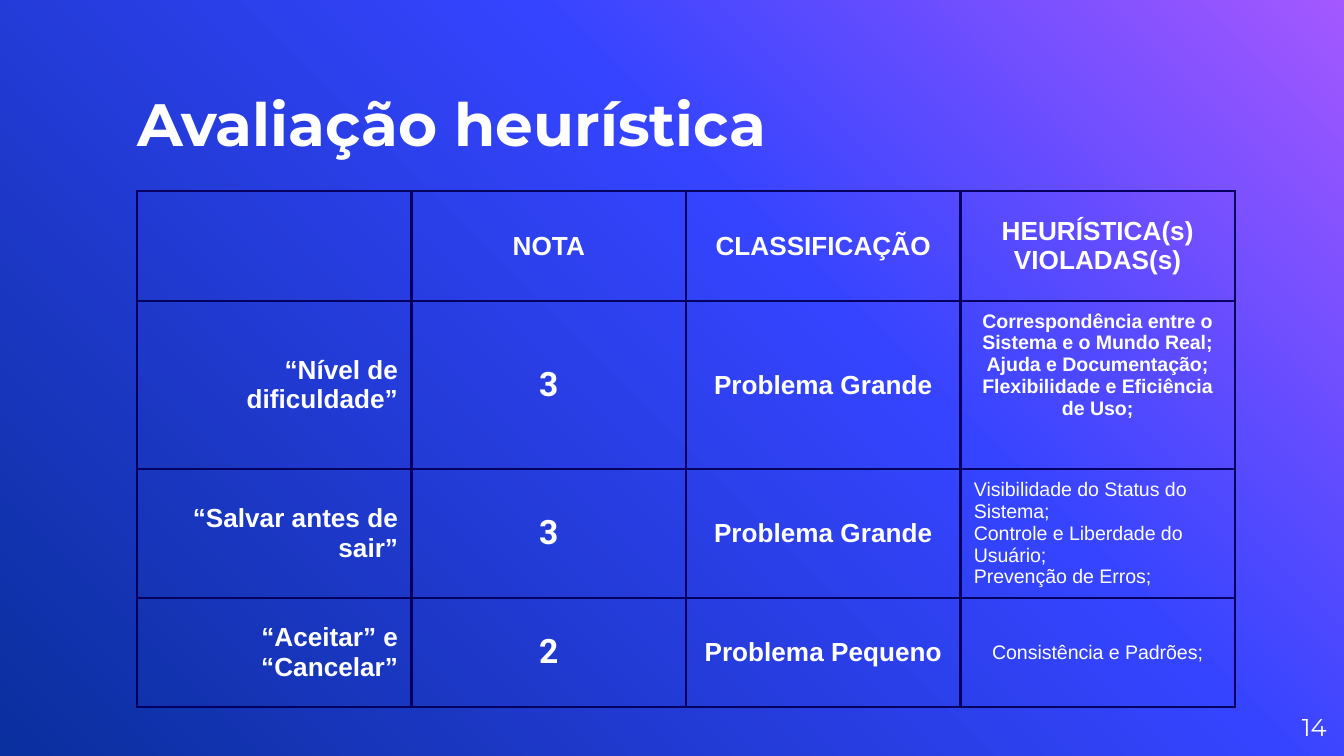
from lxml import etree
from pptx import Presentation
from pptx.dml.color import RGBColor
from pptx.enum.text import MSO_ANCHOR, PP_ALIGN
from pptx.oxml.ns import qn
from pptx.util import Inches, Pt

LEFT, CENTER, RIGHT = PP_ALIGN.LEFT, PP_ALIGN.CENTER, PP_ALIGN.RIGHT
TOP, MIDDLE, BOTTOM = MSO_ANCHOR.TOP, MSO_ANCHOR.MIDDLE, MSO_ANCHOR.BOTTOM

WHITE, NAVY = "FFFFFF", "050060"
GRADIENT = [(0, "A458FF"), (39, "3544FF"), (100, "0A2F9E")]
ROW_HEIGHTS = [0.82, 1.25, 0.96, 0.81]

HEADERS = ["", "NOTA", "CLASSIFICAÇÃO", "HEURÍSTICA(s) VIOLADAS(s)"]
# Problem, score, classification, heuristics, and (bold, alignment, anchor) of the heuristics
PROBLEMS = [
    ("“Nível de dificuldade”", "3", "Problema Grande",
     "Correspondência entre o Sistema e o Mundo Real;\nAjuda e Documentação;\n"
     "Flexibilidade e Eficiência de Uso;", (True, CENTER, TOP)),
    ("“Salvar antes de sair”", "3", "Problema Grande",
     "Visibilidade do Status do Sistema;\nControle e Liberdade do Usuário;\n"
     "Prevenção de Erros;", (False, LEFT, MIDDLE)),
    ("“Aceitar” e “Cancelar”", "2", "Problema Pequeno",
     "Consistência e Padrões;", (False, CENTER, MIDDLE)),
]


def rgb(value):
    return RGBColor.from_string(value)


def write(tf, text, size, font="Arial", bold=False, align=LEFT):
    tf.text = text
    for p in tf.paragraphs:
        p.alignment = align
        for r in p.runs:
            r.font.size = Pt(size)
            r.font.name = font
            r.font.bold = bold
            r.font.color.rgb = rgb(WHITE)


def frame(tf, anchor):
    tf.word_wrap = True
    tf.vertical_anchor = anchor
    tf.margin_left = tf.margin_right = tf.margin_top = tf.margin_bottom = 0


def add_background(slide):
    fill = slide.background.fill
    fill.gradient()
    fill.gradient_angle = 225
    stops = next(slide.element.iter(qn("a:gsLst")))
    for stop in list(stops):
        stops.remove(stop)
    for position, color in GRADIENT:
        stop = etree.SubElement(stops, qn("a:gs"), pos=str(position * 1000))
        etree.SubElement(stop, qn("a:srgbClr"), val=color)


def add_title(slide, box, text):
    title = slide.shapes.title
    title.left, title.top, title.width, title.height = map(Inches, box)
    frame(title.text_frame, BOTTOM)
    write(title.text_frame, text, 32, "Montserrat", True)


def add_borders(cell):
    tc_pr = cell._tc.get_or_add_tcPr()
    for i, side in enumerate(("lnL", "lnR", "lnT", "lnB")):
        ln = etree.Element(qn(f"a:{side}"), w=str(Pt(1.5)))
        solid = etree.SubElement(ln, qn("a:solidFill"))
        etree.SubElement(solid, qn("a:srgbClr"), val=NAVY)
        tc_pr.insert(i, ln)


def fill_cell(cell, text, size=14, font="Arial", bold=True, align=CENTER, anchor=MIDDLE):
    cell.margin_left = cell.margin_right = Inches(0.1)
    cell.margin_top = cell.margin_bottom = Inches(0.07)
    cell.vertical_anchor = anchor
    cell.fill.background()
    add_borders(cell)
    write(cell.text_frame, text, size, font, bold, align)


def add_evaluation_table(slide, box):
    rows, cols = len(ROW_HEIGHTS), len(HEADERS)
    table = slide.shapes.add_table(rows, cols, *map(Inches, box)).table
    table.first_row = table.horz_banding = False
    for row, height in zip(table.rows, ROW_HEIGHTS):
        row.height = Inches(height)

    # Header row
    for col, header in enumerate(HEADERS):
        fill_cell(table.cell(0, col), header)

    # One row for each problem
    for row, (problem, score, rating, heuristics, style) in enumerate(PROBLEMS, 1):
        bold, align, anchor = style
        fill_cell(table.cell(row, 0), problem, align=RIGHT)
        fill_cell(table.cell(row, 1), score, 18, "Roboto")
        fill_cell(table.cell(row, 2), rating)
        fill_cell(table.cell(row, 3), heuristics, 10.5, bold=bold, align=align, anchor=anchor)


def add_page_number(slide, box, number):
    tf = slide.shapes.add_textbox(*map(Inches, box)).text_frame
    frame(tf, MIDDLE)
    write(tf, number, 13, "Montserrat", align=RIGHT)


def main():
    prs = Presentation()
    # 16:9 slide
    prs.slide_width = Inches(10)
    prs.slide_height = prs.slide_width * 9 // 16
    slide = prs.slides.add_slide(prs.slide_layouts[5])
    add_background(slide)
    add_title(slide, (1.02, 0.24, 6.58, 0.94), "Avaliação heurística")
    add_evaluation_table(slide, (1.02, 1.42, 8.17, sum(ROW_HEIGHTS)))
    add_page_number(slide, (9.27, 5.19, 0.6, 0.43), "14")
    prs.save("out.pptx")


if __name__ == "__main__":
    main()
